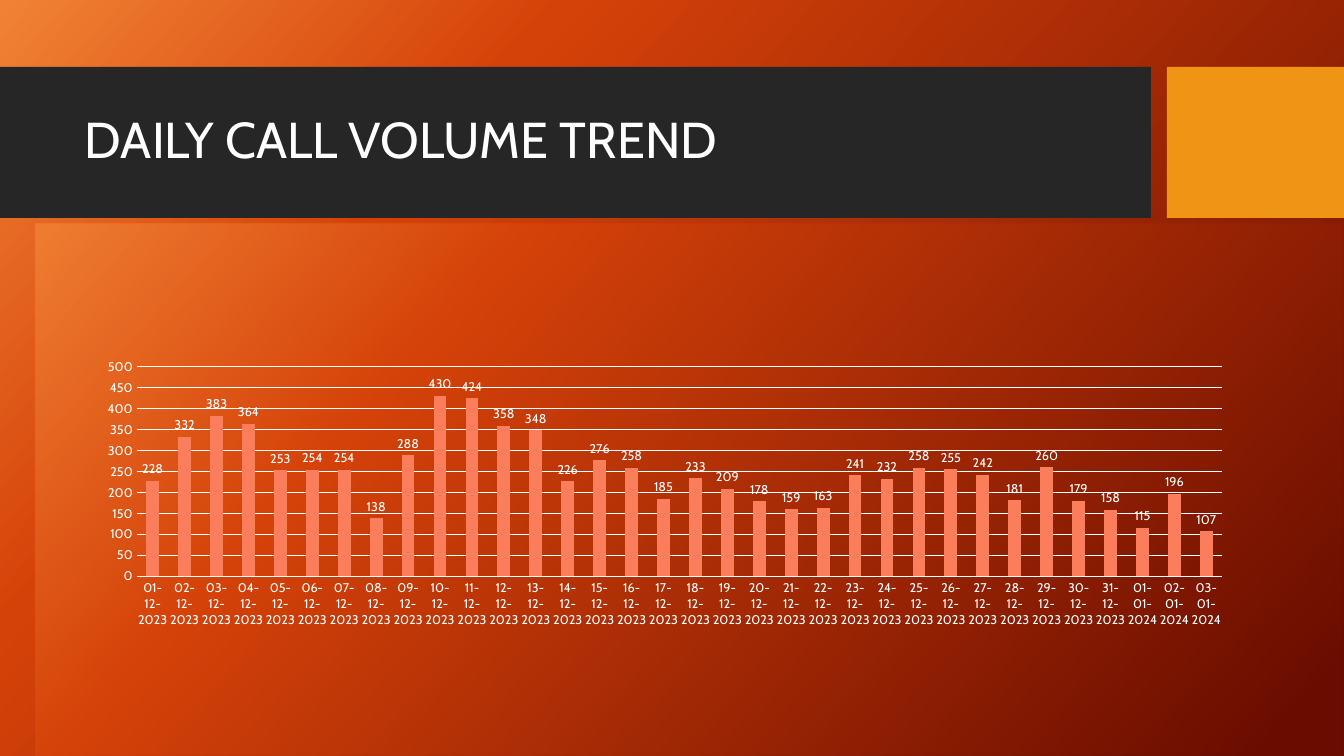
from lxml import etree
from pptx import Presentation
from pptx import util as u
from pptx.chart.data import CategoryChartData
from pptx.dml.color import RGBColor
from pptx.enum import chart as ch, shapes, text
from pptx.oxml import parse_xml
from pptx.oxml.ns import nsdecls, qn

TITLE = "DAILY CALL VOLUME TREND"
FONT = "Cabin"
COLORS = {"white": "FFFFFF", "band": "262626", "accent": "F09415", "column": "FA7E5C"}
GRADIENT = [(0, "F18235", 84), (28, "D54209", 100), (95, "6A0D00", 100)]
GRADIENT_ANGLE = 42

DATES = [f"{day:02}-12-2023" for day in range(1, 32)]
DATES += [f"{day:02}-01-2024" for day in range(1, 4)]
CALLS = [228, 332, 383, 364, 253, 254, 254, 138, 288, 430, 424, 358,
         348, 226, 276, 258, 185, 233, 209, 178, 159, 163, 241, 232,
         258, 255, 242, 181, 260, 179, 158, 115, 196, 107]

SLIDE_SIZE = (1344, 756)
BLOCKS = [((0, 67, 1151, 151), "band"), ((1167, 67, 177, 151), "accent")]
TITLE_BOX = (75, 83, 1059, 119)
CHART_BOX = (36, 224, 1308, 532)
PLOT = {"x": 0.077, "y": 0.268, "w": 0.83, "h": 0.394}


def px(*values):
    return [u.Emu(round(value * 914400 / 100.8)) for value in values]


def rgb(name):
    return RGBColor.from_string(COLORS[name])


def style_font(font, size):
    font.name = FONT
    font.size = u.Pt(size)
    font.bold = False
    font.color.rgb = rgb("white")


def style_line(line):
    line.color.rgb = rgb("white")
    line.width = u.Pt(0.75)


def gradient_fill():
    stops = "".join(
        f'<a:gs pos="{pos * 1000}"><a:srgbClr val="{color}">'
        f'<a:alpha val="{alpha * 1000}"/></a:srgbClr></a:gs>'
        for pos, color, alpha in GRADIENT)
    return parse_xml(
        f'<a:gradFill {nsdecls("a")} rotWithShape="1"><a:gsLst>{stops}</a:gsLst>'
        f'<a:lin ang="{GRADIENT_ANGLE * 60000}" scaled="0"/></a:gradFill>')


def paint_background(page):
    page.background.fill.solid()
    solid = page.element.find(".//" + qn("p:bgPr")).find(qn("a:solidFill"))
    solid.getparent().replace(solid, gradient_fill())


def add_blocks(page):
    for place, color in BLOCKS:
        block = page.shapes.add_shape(shapes.MSO_SHAPE.RECTANGLE, *px(*place))
        block.shadow.inherit = False
        block.fill.solid()
        block.fill.fore_color.rgb = rgb(color)
        block.line.fill.background()


def add_title(page):
    frame = page.shapes.add_textbox(*px(*TITLE_BOX)).text_frame
    frame.word_wrap = True
    frame.vertical_anchor = text.MSO_ANCHOR.MIDDLE
    para = frame.paragraphs[0]
    para.line_spacing = 0.9
    span = para.add_run()
    span.text = TITLE
    style_font(span.font, 36)


def place_plot(chart):
    area = chart.element.find(".//" + qn("c:plotArea"))
    old = area.find(qn("c:layout"))
    if old is not None:
        area.remove(old)
    layout = etree.Element(qn("c:layout"))
    manual = etree.SubElement(layout, qn("c:manualLayout"))
    settings = {"layoutTarget": "inner", "xMode": "edge", "yMode": "edge", **PLOT}
    for tag, value in settings.items():
        etree.SubElement(manual, qn(f"c:{tag}")).set("val", str(value))
    area.insert(0, layout)


def paint_chart(chart):
    props = etree.Element(qn("c:spPr"))
    props.append(gradient_fill())
    line = etree.SubElement(props, qn("a:ln"))
    etree.SubElement(line, qn("a:noFill"))
    chart.element.find(qn("c:chart")).addnext(props)


def add_call_chart(page):
    data = CategoryChartData()
    data.categories = DATES
    data.add_series("Series 1", CALLS)
    chart = page.shapes.add_chart(
        ch.XL_CHART_TYPE.COLUMN_CLUSTERED, *px(*CHART_BOX), data).chart
    chart.has_title = False
    chart.has_legend = False
    style_font(chart.font, 10)

    for axis in (chart.category_axis, chart.value_axis):
        axis.major_tick_mark = axis.minor_tick_mark = ch.XL_TICK_MARK.NONE
        style_font(axis.tick_labels.font, 9)
    style_line(chart.category_axis.format.line)
    values = chart.value_axis
    values.minimum_scale, values.maximum_scale, values.major_unit = 0, 500, 50
    values.format.line.fill.background()
    values.has_major_gridlines = True
    style_line(values.major_gridlines.format.line)

    plot = chart.plots[0]
    plot.gap_width = 150
    plot.vary_by_categories = False
    columns = plot.series[0]
    columns.format.fill.solid()
    columns.format.fill.fore_color.rgb = rgb("column")
    labels = columns.data_labels
    labels.show_value = True
    labels.position = ch.XL_LABEL_POSITION.OUTSIDE_END
    style_font(labels.font, 9)
    place_plot(chart)
    paint_chart(chart)


def main():
    deck = Presentation()
    deck.slide_width, deck.slide_height = px(*SLIDE_SIZE)
    page = deck.slides.add_slide(deck.slide_layouts[6])
    paint_background(page)
    add_blocks(page)
    add_title(page)
    add_call_chart(page)
    deck.save("out.pptx")


if __name__ == "__main__":
    main()
